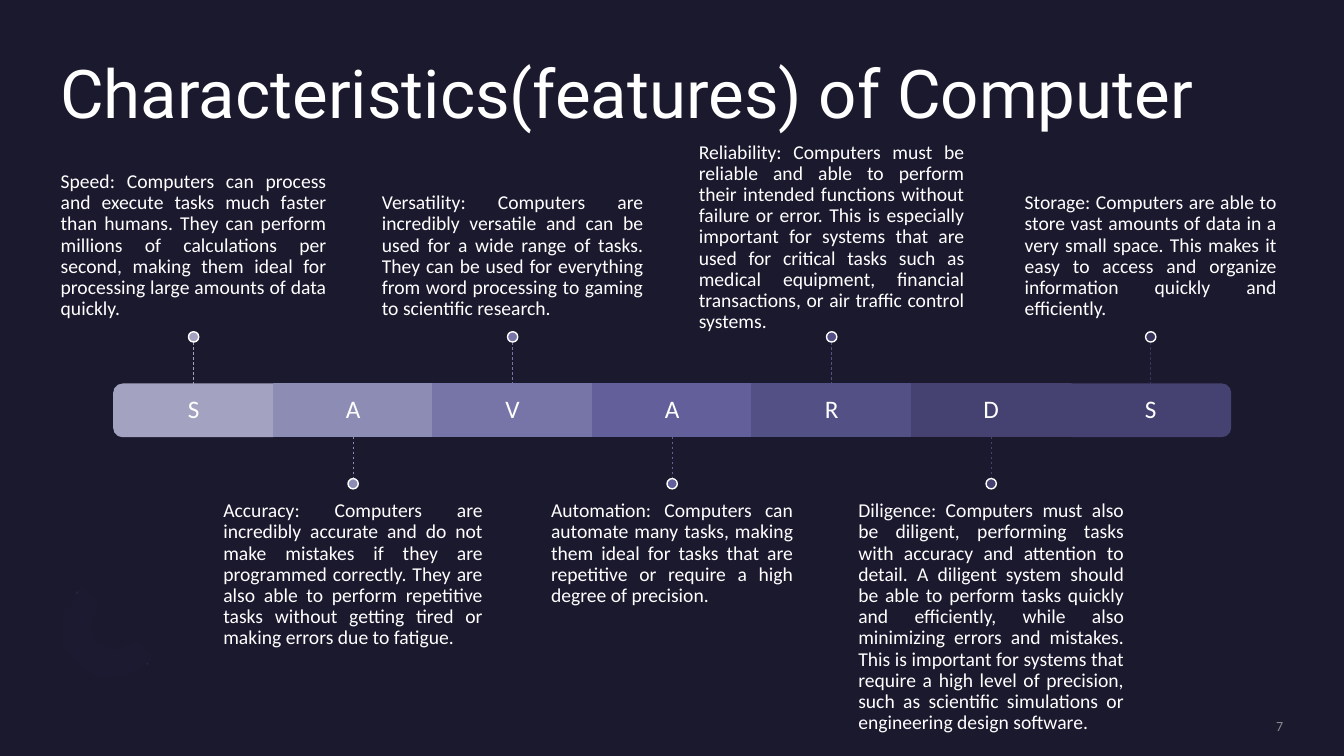
from lxml import etree
from pptx import Presentation
from pptx.dml.color import RGBColor
from pptx.enum.dml import MSO_LINE
from pptx.enum.shapes import MSO_CONNECTOR, MSO_SHAPE
from pptx.enum.text import MSO_ANCHOR, MSO_AUTO_SIZE, PP_ALIGN
from pptx.oxml.ns import qn
from pptx.util import Cm, Pt

TOP, MIDDLE, BOTTOM = MSO_ANCHOR.TOP, MSO_ANCHOR.MIDDLE, MSO_ANCHOR.BOTTOM
LEFT, RIGHT, JUSTIFY = PP_ALIGN.LEFT, PP_ALIGN.RIGHT, PP_ALIGN.JUSTIFY
RECT, ELLIPSE = MSO_SHAPE.RECTANGLE, MSO_SHAPE.OVAL
ROUND_END = MSO_SHAPE.ROUND_2_SAME_RECTANGLE
WHITE, BACKGROUND = "FFFFFF", "1B192E"

# Letter, description, bar colour, marker colour, top of the description (cm)
FEATURES = [
    ("S", "Speed: Computers can process and execute tasks much faster than humans. "
     "They can perform millions of calculations per second, making them ideal for "
     "processing large amounts of data quickly.", "A3A3C1", "A3A3C1", 3.76),
    ("A", "Accuracy: Computers are incredibly accurate and do not make mistakes if they "
     "are programmed correctly. They are also able to perform repetitive tasks without "
     "getting tired or making errors due to fatigue.", "8D8CB4", "8D8CB4", 12.32),
    ("V", "Versatility: Computers are incredibly versatile and can be used for a wide "
     "range of tasks. They can be used for everything from word processing to gaming to "
     "scientific research.", "7775A8", "7775A8", 3.76),
    ("A", "Automation: Computers can automate many tasks, making them ideal for tasks "
     "that are repetitive or require a high degree of precision.",
     "625F9A", "625F9A", 12.32),
    ("R", "Reliability: Computers must be reliable and able to perform their intended "
     "functions without failure or error. This is especially important for systems that "
     "are used for critical tasks such as medical equipment, financial transactions, or "
     "air traffic control systems.", "535086", "535086", 4.09),
    ("D", "Diligence: Computers must also be diligent, performing tasks with accuracy "
     "and attention to detail. A diligent system should be able to perform tasks quickly "
     "and efficiently, while also minimizing errors and mistakes. This is important for "
     "systems that require a high level of precision, such as scientific simulations or "
     "engineering design software.", "454171", "454171", 12.32),
    ("S", "Storage: Computers are able to store vast amounts of data in a very small "
     "space. This makes it easy to access and organize information quickly and "
     "efficiently.", "454171", "37335B", 3.76),
]


def add_filled(kind, x, y, w, h, fill, line=None):
    s = shapes.add_shape(kind, Cm(x), Cm(y), Cm(w), Cm(h))
    s.shadow.inherit = False
    s.fill.solid()
    s.fill.fore_color.rgb = RGBColor.from_string(fill)
    if line:
        s.line.color.rgb = RGBColor.from_string(line)
        s.line.width = Pt(1)
    else:
        s.line.fill.background()
    return s


def set_text(s, text, size, color, align, anchor, spacing=0.9, font="Calibri", pad=(0, 0)):
    """Fill a text shape; justified blocks are also centred in their box."""
    tf = s.text_frame
    tf.text = text
    tf.word_wrap = True
    tf.auto_size = MSO_AUTO_SIZE.NONE
    tf.vertical_anchor = anchor
    tf.margin_left = tf.margin_right = 0
    tf.margin_top, tf.margin_bottom = Cm(pad[0]), Cm(pad[1])
    if align == JUSTIFY:
        tf._txBody.bodyPr.set("anchorCtr", "1")
    p = tf.paragraphs[0]
    p.alignment, p.line_spacing = align, spacing
    p.space_before = Pt(0)
    r = p.runs[0]
    r.font.size, r.font.name = Pt(size), font
    r.font.color.rgb = RGBColor.from_string(color)


prs = Presentation()
prs.slide_width, prs.slide_height = Cm(33.87), Cm(19.05)
slide = prs.slides.add_slide(prs.slide_layouts[5])
shapes = slide.shapes
slide.background.fill.solid()
slide.background.fill.fore_color.rgb = RGBColor.from_string(BACKGROUND)

title = shapes.title
title.left, title.top, title.width, title.height = Cm(1.52), Cm(1.52), Cm(30.81), Cm(3.71)
set_text(title, "Characteristics(features) of Computer", 48, WHITE, LEFT, TOP, font="Roboto")

# Faint open ring with an ellipse at each end
for x, y in [(3.43, 16.18), (2.08, 14.81)]:
    add_filled(ELLIPSE, x, y, 0.15, 0.66, "2C284A").rotation = 135
outer = [(2.06, 14.78), (1.6, 15.5), (1.55, 16.2), (1.93, 16.74),
         (2.5, 17.1), (3.2, 17.05), (3.86, 16.61)]
inner = [(3.43, 16.15), (2.9, 16.38), (2.44, 16.21), (2.25, 15.75), (2.51, 15.24)]
fb = shapes.build_freeform(Cm(outer[0][0]), Cm(outer[0][1]))
fb.add_line_segments([(Cm(x), Cm(y)) for x, y in outer[1:] + inner], close=True)
ring = fb.convert_to_shape()
ring.shadow.inherit = False
ring.fill.solid()
ring.fill.fore_color.rgb = RGBColor.from_string("1C1A30")
ring.line.fill.background()

# Bar of seven segments, each with a marker and a description, above and below in turn
PITCH, FIRST_CENTER = 4.02, 4.88
BAR_TOP, BAR_H, DOT = 9.68, 1.32, 0.26
DESC_W, DESC_H = 6.7, 4.6
for i, (letter, description, color, marker, desc_top) in enumerate(FEATURES):
    center = FIRST_CENTER + i * PITCH
    left = center - PITCH / 2
    above = i % 2 == 0

    if i in (0, len(FEATURES) - 1):
        s = add_filled(ROUND_END, center - BAR_H / 2, BAR_TOP + (BAR_H - PITCH) / 2,
                       BAR_H, PITCH, color, color)
        s.rotation = 270 if i == 0 else 90
    else:
        add_filled(RECT, left, BAR_TOP, PITCH, BAR_H, color, color)
    s = shapes.add_textbox(Cm(left), Cm(BAR_TOP), Cm(PITCH), Cm(BAR_H))
    set_text(s, letter, 18, WHITE, JUSTIFY, MIDDLE)

    s = shapes.add_textbox(Cm(center - DESC_W / 2), Cm(desc_top), Cm(DESC_W), Cm(DESC_H))
    set_text(s, description, 14, WHITE, JUSTIFY, BOTTOM if above else TOP,
             pad=(0, 0.3) if above else (0.3, 0))

    start, end = (8.62, BAR_TOP) if above else (BAR_TOP + BAR_H, 12.06)
    c = shapes.add_connector(MSO_CONNECTOR.STRAIGHT, Cm(center), Cm(start), Cm(center), Cm(end))
    c.line.color.rgb = RGBColor.from_string(marker)
    c.line.width = Pt(0.5)
    c.line.dash_style = MSO_LINE.DASH
    etree.SubElement(c._element.spPr, qn("a:effectLst"))
    add_filled(ELLIPSE, center - DOT / 2, start - DOT if above else end, DOT, DOT, marker, WHITE)

s = shapes.add_textbox(Cm(27.64), Cm(18.08), Cm(4.7), Cm(0.43))
set_text(s, "7", 10, "8A8A8E", RIGHT, MIDDLE, spacing=1.0)

prs.save("out.pptx")
